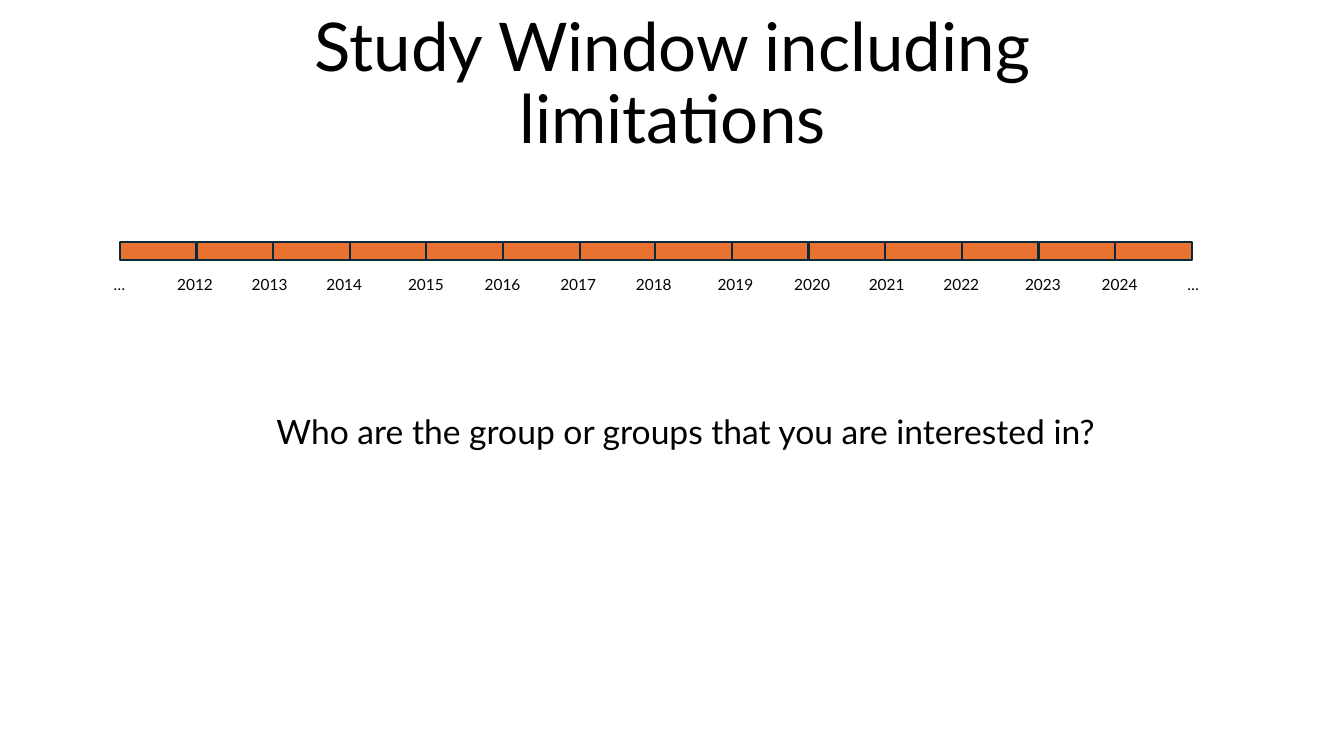
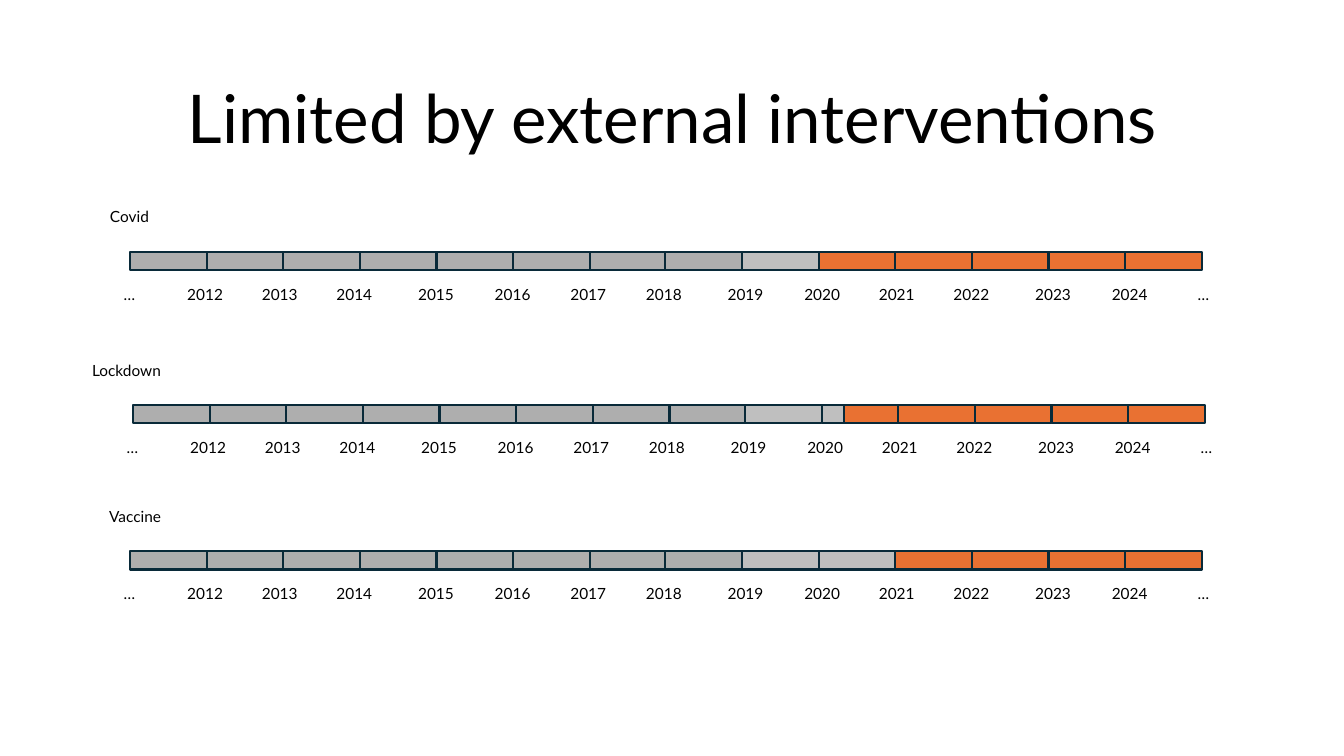
from pptx import Presentation
from pptx.dml.color import RGBColor
from pptx.enum.shapes import MSO_SHAPE
from pptx.enum.text import MSO_ANCHOR, MSO_AUTO_SIZE, PP_ALIGN
from pptx.util import Emu, Pt

FONT = "Lato"
BLACK, OUTLINE = "000000", "092A39"
EXCLUDED, LIMITED, AVAILABLE = "AEAEAE", "BFBFBF", "E97132"

SLIDES = [
    {
        "title": "Study Window including limitations",
        "timelines": [{"left": 119, "top": 240, "start": 2011}],
        "question": "Who are the group or groups that you are interested in?",
    },
    {
        "title": "Limited by external interventions",
        "timelines": [
            {"left": 129, "top": 250, "start": 2020, "heading": ("Covid", 95, 67)},
            {"left": 132, "top": 402, "start": 2020.29, "heading": ("Lockdown", 78, 95)},
            {"left": 129, "top": 547, "start": 2021, "heading": ("Vaccine", 95, 78)},
        ],
    },
]

FIRST_YEAR, LAST_YEAR, LIMITED_FROM = 2011, 2024, 2019
TICK_NAMES = ["…", *map(str, range(FIRST_YEAR + 1, LAST_YEAR + 1)), "…"]
TICK_CENTERS = [0, 75, 149, 223, 304, 380, 455, 530, 611, 687, 761, 835, 916, 992, 1065]

BAR_SPAN, BAR_HEIGHT = 1063, 18
YEAR_WIDTH = BAR_SPAN / (LAST_YEAR - FIRST_YEAR + 1)
LABEL_WIDTH, LABEL_HEIGHT = 67, 29
TICK_DROP, HEADING_RISE = 28, 49
TITLE_BOX = (167, 71, 1000, 91)
QUESTION_BOX = (180, 362, 1000, 91)


def px(length):
    return Emu(round(length) * 9144)


def color(value):
    return RGBColor.from_string(value)


def write(box, text, size, anchor=MSO_ANCHOR.TOP, spacing=1.0):
    frame = box.text_frame
    frame.text = text
    frame.word_wrap = True
    frame.auto_size = MSO_AUTO_SIZE.NONE
    frame.vertical_anchor = anchor
    para = frame.paragraphs[0]
    para.alignment = PP_ALIGN.CENTER
    para.line_spacing = spacing
    font = para.runs[0].font
    font.name, font.size = FONT, Pt(size)
    font.color.rgb = color(BLACK)


def add_text(page, place, text, size, **style):
    write(page.shapes.add_textbox(*map(px, place)), text, size, **style)


def add_title(page, text):
    title = page.shapes.title
    title.left, title.top, title.width, title.height = map(px, TITLE_BOX)
    write(title, text, 48, anchor=MSO_ANCHOR.BOTTOM, spacing=0.9)


def add_segment(page, left, top, width, fill):
    segment = page.shapes.add_shape(
        MSO_SHAPE.RECTANGLE, *map(px, (left, top, width, BAR_HEIGHT)))
    segment.shadow.inherit = False
    segment.fill.solid()
    segment.fill.fore_color.rgb = color(fill)
    segment.line.color.rgb = color(OUTLINE)
    segment.line.width = Pt(1.5)


def year_fill(year, start):
    if year >= int(start):
        return AVAILABLE
    return LIMITED if year >= LIMITED_FROM else EXCLUDED


def add_timeline(page, left, top, start, heading=None):
    for index, year in enumerate(range(FIRST_YEAR, LAST_YEAR + 1)):
        segment_left = left + index * YEAR_WIDTH
        add_segment(page, segment_left, top, YEAR_WIDTH, year_fill(year, start))
        if year < start < year + 1:
            add_segment(page, segment_left, top, (start - year) * YEAR_WIDTH, LIMITED)
    for name, center in zip(TICK_NAMES, TICK_CENTERS):
        label_left = left + center - LABEL_WIDTH // 2 - 1
        add_text(page, (label_left, top + TICK_DROP, LABEL_WIDTH, LABEL_HEIGHT), name, 11)
    if heading:
        text, heading_left, width = heading
        add_text(page, (heading_left, top - HEADING_RISE, width, LABEL_HEIGHT), text, 11)


def main():
    deck = Presentation()
    deck.slide_width, deck.slide_height = px(1333), px(750)
    for content in SLIDES:
        page = deck.slides.add_slide(deck.slide_layouts[0])
        subtitle = page.placeholders[1].element
        subtitle.getparent().remove(subtitle)
        add_title(page, content["title"])
        for timeline in content["timelines"]:
            add_timeline(page, **timeline)
        if "question" in content:
            add_text(page, QUESTION_BOX, content["question"], 24,
                     anchor=MSO_ANCHOR.BOTTOM, spacing=0.9)
    deck.save("out.pptx")


if __name__ == "__main__":
    main()
